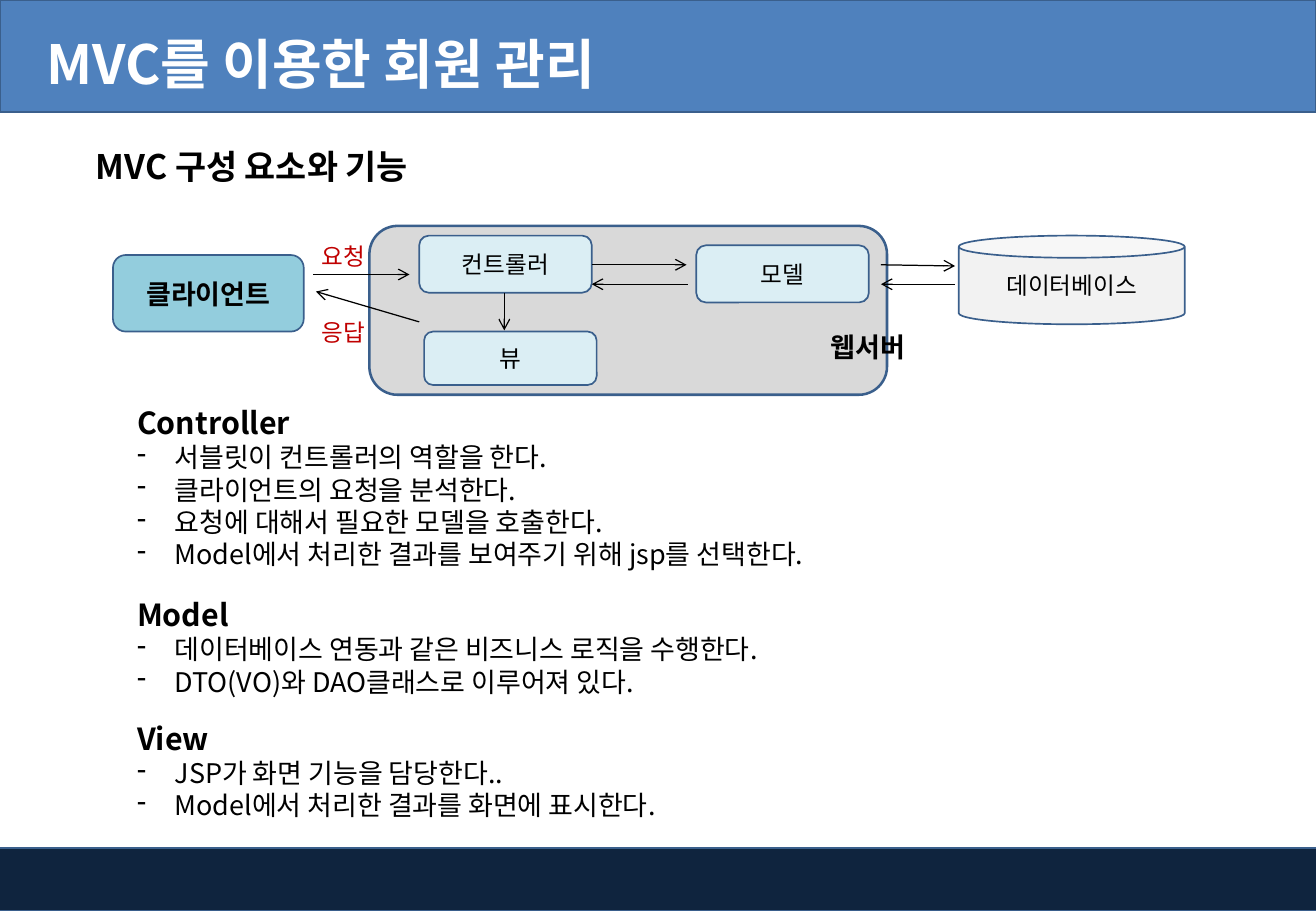
from pptx import Presentation
from pptx.dml.color import RGBColor
from pptx.enum.shapes import MSO_CONNECTOR, MSO_SHAPE
from pptx.enum.text import MSO_ANCHOR, MSO_AUTO_SIZE, PP_ALIGN
from pptx.oxml.ns import qn
from pptx.util import Inches, Pt
from lxml import etree

FONT = "Noto Sans CJK KR"
BLACK = RGBColor(0x00, 0x00, 0x00)
WHITE = RGBColor(0xFF, 0xFF, 0xFF)
RED = RGBColor(0xC0, 0x00, 0x00)
NAVY = RGBColor(0x0F, 0x24, 0x3E)
BLUE = RGBColor(0x4F, 0x81, 0xBD)
OUTLINE = RGBColor(0x3A, 0x5F, 0x8C)
GRAY = RGBColor(0xD9, 0xD9, 0xD9)
LIGHT_GRAY = RGBColor(0xF2, 0xF2, 0xF2)
TEAL = RGBColor(0x93, 0xCD, 0xDD)
PALE_BLUE = RGBColor(0xDB, 0xEE, 0xF4)
RECT = MSO_SHAPE.RECTANGLE
ROUNDED = MSO_SHAPE.ROUNDED_RECTANGLE
CAN = MSO_SHAPE.CAN
STRAIGHT = MSO_CONNECTOR.STRAIGHT
LEFT, CENTER = PP_ALIGN.LEFT, PP_ALIGN.CENTER
MIDDLE = MSO_ANCHOR.MIDDLE
NO_AUTOFIT = MSO_AUTO_SIZE.NONE


def write(para, text, size=14, color=BLACK, bold=False, align=LEFT, bullet=None):
    """Fill a paragraph, with one font for Latin and Korean letters."""
    para.alignment = align
    if bullet:
        properties = para._p.get_or_add_pPr()
        properties.set("marL", str(Inches(0.31)))
        properties.set("indent", str(Inches(-0.31)))
        etree.SubElement(properties, qn("a:buChar")).set("char", bullet)
    span = para.add_run()
    span.text = text
    span.font.size = Pt(size)
    span.font.bold = bold
    span.font.color.rgb = color
    span.font.name = FONT
    etree.SubElement(span._r.get_or_add_rPr(), qn("a:ea")).set("typeface", FONT)


deck = Presentation()
deck.slide_width = Inches(10.83)
deck.slide_height = Inches(7.5)
page = deck.slides.add_slide(deck.slide_layouts[5])

# Bars and diagram boxes, from back to front
boxes = [
    (RECT, -0.04, 6.98, 10.88, 0.52, NAVY, 1, "", {}),
    (RECT, 0, 0, 10.83, 0.92, BLUE, 1, "", {}),
    (ROUNDED, 3.04, 1.86, 4.26, 1.39, GRAY, 1.5, "", {}),
    (CAN, 7.89, 1.94, 1.86, 0.73, LIGHT_GRAY, 1, "데이터베이스", {}),
    (ROUNDED, 0.93, 2.1, 1.57, 0.63, TEAL, 1, "클라이언트", {"size": 16, "bold": True}),
    (ROUNDED, 3.45, 1.94, 1.42, 0.47, PALE_BLUE, 1, "컨트롤러", {}),
    (ROUNDED, 3.49, 2.73, 1.42, 0.44, PALE_BLUE, 1, "뷰", {}),
    (ROUNDED, 5.73, 2.02, 1.42, 0.47, PALE_BLUE, 1, "모델", {}),
]
for kind, left, top, width, height, fill, line_width, text, style in boxes:
    box = page.shapes.add_shape(kind, Inches(left), Inches(top), Inches(width), Inches(height))
    box.shadow.inherit = False
    box.fill.solid()
    box.fill.fore_color.rgb = fill
    box.line.color.rgb = OUTLINE
    box.line.width = Pt(line_width)
    if text:
        box.text_frame.vertical_anchor = MIDDLE
        write(box.text_frame.paragraphs[0], text, align=CENTER, **style)

# The title stands in front of the blue bar
title = page.shapes.title
page.shapes._spTree.append(title._element)
title.left, title.top = Inches(0.28), Inches(0.05)
title.width, title.height = Inches(5.44), Inches(0.94)
title.text_frame.auto_size = NO_AUTOFIT
title.text_frame.vertical_anchor = MIDDLE
write(title.text_frame.paragraphs[0], "MVC를 이용한 회원 관리", size=32, color=WHITE, bold=True)

arrows = [
    (2.58, 2.26, 3.37, 2.26),  # client to controller
    (3.45, 2.65, 2.6, 2.4),    # view to client
    (4.87, 2.18, 5.65, 2.18),  # controller to model
    (5.66, 2.34, 4.87, 2.34),  # model to controller
    (4.15, 2.41, 4.15, 2.72),  # controller to view
    (7.25, 2.18, 7.86, 2.19),  # model to database
    (7.86, 2.34, 7.25, 2.34),  # database to model
]
for ends in arrows:
    arrow = page.shapes.add_connector(STRAIGHT, *[Inches(value) for value in ends])
    arrow.line.color.rgb = BLACK
    arrow.line.width = Pt(0.75)
    etree.SubElement(arrow.line._get_or_add_ln(), qn("a:tailEnd")).set("type", "arrow")
    etree.SubElement(arrow._element.spPr, qn("a:effectLst"))

HEADING = {"size": 18, "bold": True}
ITEM = {"size": 16, "bullet": "-"}
texts = [
    (0.69, 1.15, 9.84, 0.44, {"size": 20, "bold": True}, ["MVC 구성 요소와 기능"]),
    (6.74, 2.67, 1.02, 0.37, {"size": 16, "bold": True}, ["웹서버"]),
    (2.55, 1.94, 0.79, 0.34, {"color": RED}, ["요청"]),
    (2.55, 2.57, 0.79, 0.34, {"color": RED}, ["응답"]),
    (1.03, 3.28, 9.06, 1.48, HEADING, [
        "Controller",
        "서블릿이 컨트롤러의 역할을 한다.",
        "클라이언트의 요청을 분석한다.",
        "요청에 대해서 필요한 모델을 호출한다.",
        "Model에서 처리한 결과를 보여주기 위해 jsp를 선택한다.",
    ]),
    (1.03, 4.86, 9.06, 0.94, HEADING, [
        "Model",
        "데이터베이스 연동과 같은 비즈니스 로직을 수행한다.",
        "DTO(VO)와 DAO클래스로 이루어져 있다.",
    ]),
    (1.03, 5.88, 9.06, 0.94, HEADING, [
        "View",
        "JSP가 화면 기능을 담당한다..",
        "Model에서 처리한 결과를 화면에 표시한다.",
    ]),
]
for left, top, width, height, style, (heading, *items) in texts:
    box = page.shapes.add_textbox(Inches(left), Inches(top), Inches(width), Inches(height))
    frame = box.text_frame
    frame.word_wrap = True
    write(frame.paragraphs[0], heading, **style)
    for item in items:
        write(frame.add_paragraph(), item, **ITEM)

deck.save("out.pptx")
